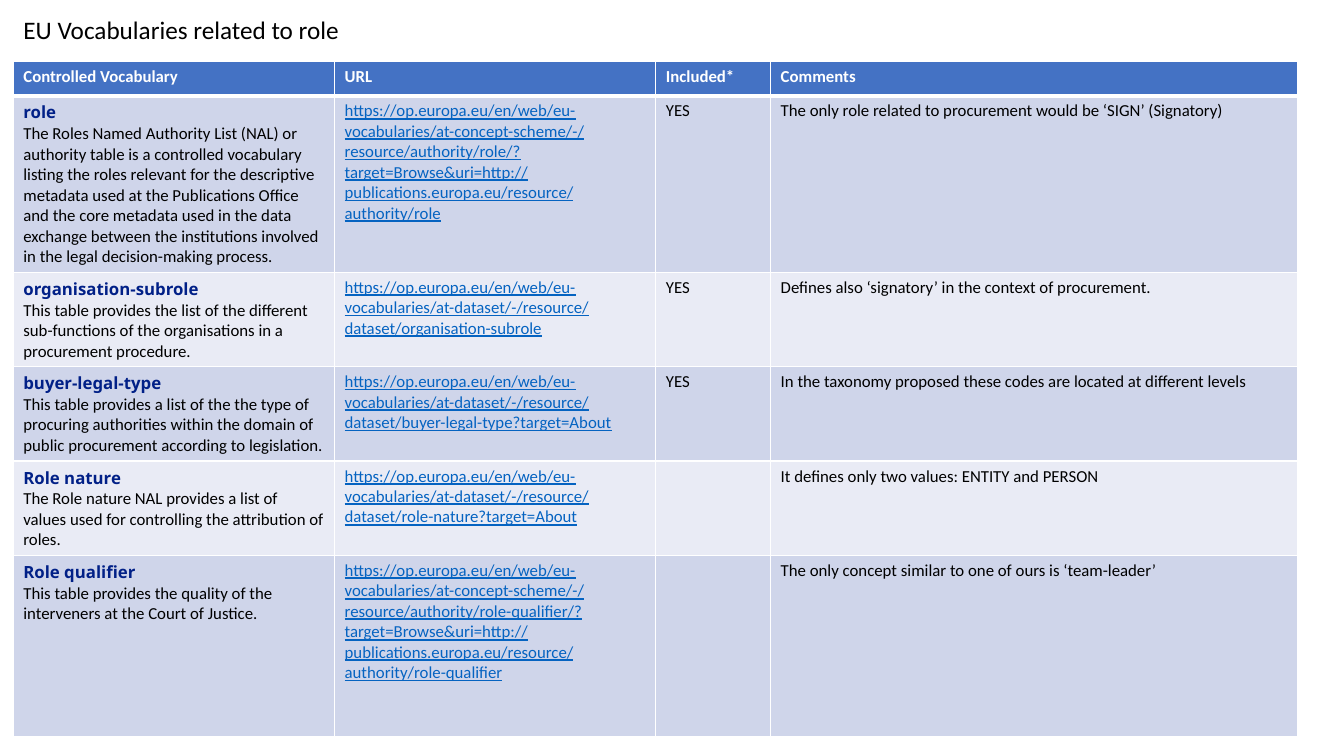
from dataclasses import dataclass

from lxml.etree import SubElement
from pptx import Presentation
from pptx.dml.color import RGBColor
from pptx.enum.text import MSO_ANCHOR, MSO_AUTO_SIZE, PP_ALIGN
from pptx.oxml.ns import qn
from pptx.util import Pt


@dataclass(frozen=True)
class Theme:
    font: str = "Calibri"
    term_font: str = "Noto Sans"
    title_size: int = 18
    cell_size: int = 12
    text: str = "000000"
    white: str = "FFFFFF"
    term: str = "012087"
    url: str = "0563C1"
    header: str = "4472C4"
    bands: tuple = ("CFD5EA", "E9EBF5")


THEME = Theme()
BODY = {"name": THEME.font, "size": Pt(THEME.cell_size), "bold": False,
        "underline": False, "color": THEME.text}
HEADER = BODY | {"bold": True, "color": THEME.white}
TERM = BODY | {"name": THEME.term_font, "bold": True, "color": THEME.term}
URL = BODY | {"underline": True, "color": THEME.url}
TITLE = BODY | {"size": Pt(THEME.title_size)}

COLUMN_WIDTHS = (229.5, 229.5, 82, 376.5)
ROW_HEIGHTS = (24.5, 122.5, 65, 65, 64.5, 129.5)
HEADINGS = ("Controlled Vocabulary", "URL", "Included*", "Comments")
SITE = "https://op.europa.eu/en/web/eu-vocabularies/"
DATASET = SITE + "at-dataset/-/resource/dataset/"
SCHEME = SITE + "at-concept-scheme/-/resource/authority/"
BROWSE = "/?target=Browse&uri=http://publications.europa.eu/resource/authority/"

VOCABULARIES = (
    ("role",
     "The Roles Named Authority List (NAL) or authority table is a controlled "
     "vocabulary listing the roles relevant for the descriptive metadata used at "
     "the Publications Office and the core metadata used in the data exchange "
     "between the institutions involved in the legal decision-making process.",
     SCHEME + "role" + BROWSE + "role", "YES",
     "The only role related to procurement would be ‘SIGN’ (Signatory)"),
    ("organisation-subrole",
     "This table provides the list of the different sub-functions of the "
     "organisations in a procurement procedure.",
     DATASET + "organisation-subrole", "YES",
     "Defines also ‘signatory’ in the context of procurement."),
    ("buyer-legal-type",
     "This table provides a list of the the type of procuring authorities within "
     "the domain of public procurement according to legislation.",
     DATASET + "buyer-legal-type?target=About", "YES",
     "In the taxonomy proposed these codes are located at different levels"),
    ("Role nature",
     "The Role nature NAL provides a list of values used for controlling the "
     "attribution of roles.",
     DATASET + "role-nature?target=About", "",
     "It defines only two values: ENTITY and PERSON"),
    ("Role qualifier",
     "This table provides the quality of the interveners at the Court of Justice.",
     SCHEME + "role-qualifier" + BROWSE + "role-qualifier", "",
     "The only concept similar to one of ours is ‘team-leader’"),
)


def set_attrs(obj, values):
    for name, value in values.items():
        setattr(obj, name, value)


def write(tf, *lines):
    for i, (text, style) in enumerate(lines):
        p = tf.paragraphs[0] if i == 0 else tf.add_paragraph()
        p.alignment = PP_ALIGN.LEFT
        font = p.font
        if text:
            r = p.add_run()
            r.text = text
            font = r.font
        set_attrs(font, {k: v for k, v in style.items() if k != "color"})
        font.color.rgb = RGBColor.from_string(style["color"])


def style_cell(cell, fill, top, bottom):
    tc_pr = cell._tc.get_or_add_tcPr()
    for side, width in {"lnL": 1, "lnR": 1, "lnT": top, "lnB": bottom}.items():
        ln = SubElement(tc_pr, qn("a:" + side), w=str(Pt(width)))
        solid = SubElement(ln, qn("a:solidFill"))
        SubElement(solid, qn("a:srgbClr"), val=THEME.white)
    cell.fill.solid()
    cell.fill.fore_color.rgb = RGBColor.from_string(fill)
    cell.vertical_anchor = MSO_ANCHOR.TOP


def add_title(slide, left, top, width, height):
    s = slide.shapes.title
    set_attrs(s, {"left": Pt(left), "top": Pt(top),
                  "width": Pt(width), "height": Pt(height)})
    set_attrs(s.text_frame, {"word_wrap": False, "auto_size": MSO_AUTO_SIZE.NONE,
                             "vertical_anchor": MSO_ANCHOR.MIDDLE})
    write(s.text_frame, ("EU Vocabularies related to role", TITLE))


def add_vocabulary_table(slide, left, top, width, height):
    table = slide.shapes.add_table(
        len(ROW_HEIGHTS), len(COLUMN_WIDTHS),
        Pt(left), Pt(top), Pt(width), Pt(height)).table
    for column, share in zip(table.columns, COLUMN_WIDTHS):
        column.width = Pt(width * share / sum(COLUMN_WIDTHS))
    for row, share in zip(table.rows, ROW_HEIGHTS):
        row.height = Pt(height * share / sum(ROW_HEIGHTS))

    contents = [[[(heading, HEADER)] for heading in HEADINGS]]
    for term, definition, url, included, comment in VOCABULARIES:
        contents.append([[(term, TERM), (definition, BODY)], [(url, URL)],
                         [(included, BODY)], [(comment, BODY)]])
    for i, row in enumerate(contents):
        fill = THEME.bands[(i - 1) % 2] if i else THEME.header
        for j, lines in enumerate(row):
            cell = table.cell(i, j)
            style_cell(cell, fill, 3 if i == 1 else 1, 3 if i == 0 else 1)
            write(cell.text_frame, *lines)


def main():
    prs = Presentation()
    set_attrs(prs, {"slide_width": Pt(960), "slide_height": Pt(540)})
    slide = prs.slides.add_slide(prs.slide_layouts[5])
    add_title(slide, 9.5, 6.5, 242.5, 29)
    add_vocabulary_table(slide, 9.5, 44, sum(COLUMN_WIDTHS), sum(ROW_HEIGHTS))
    prs.save("out.pptx")


if __name__ == "__main__":
    main()
